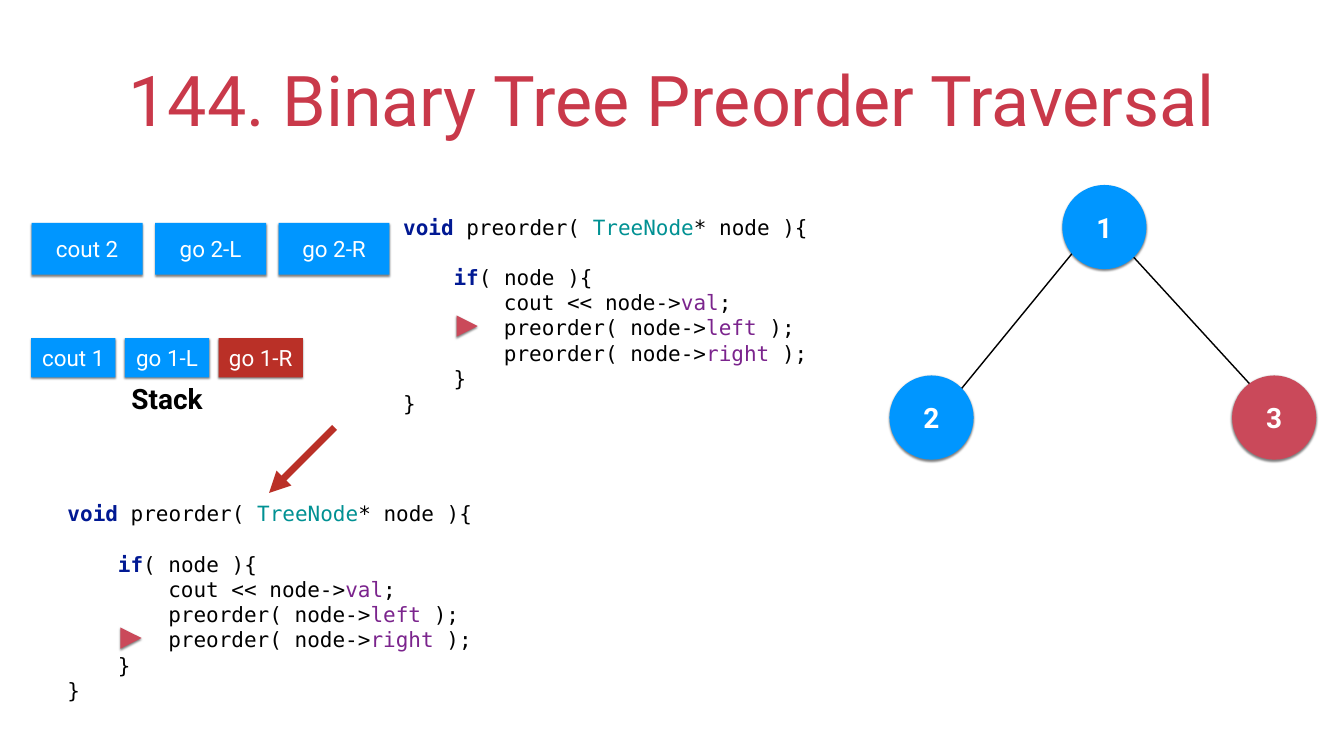
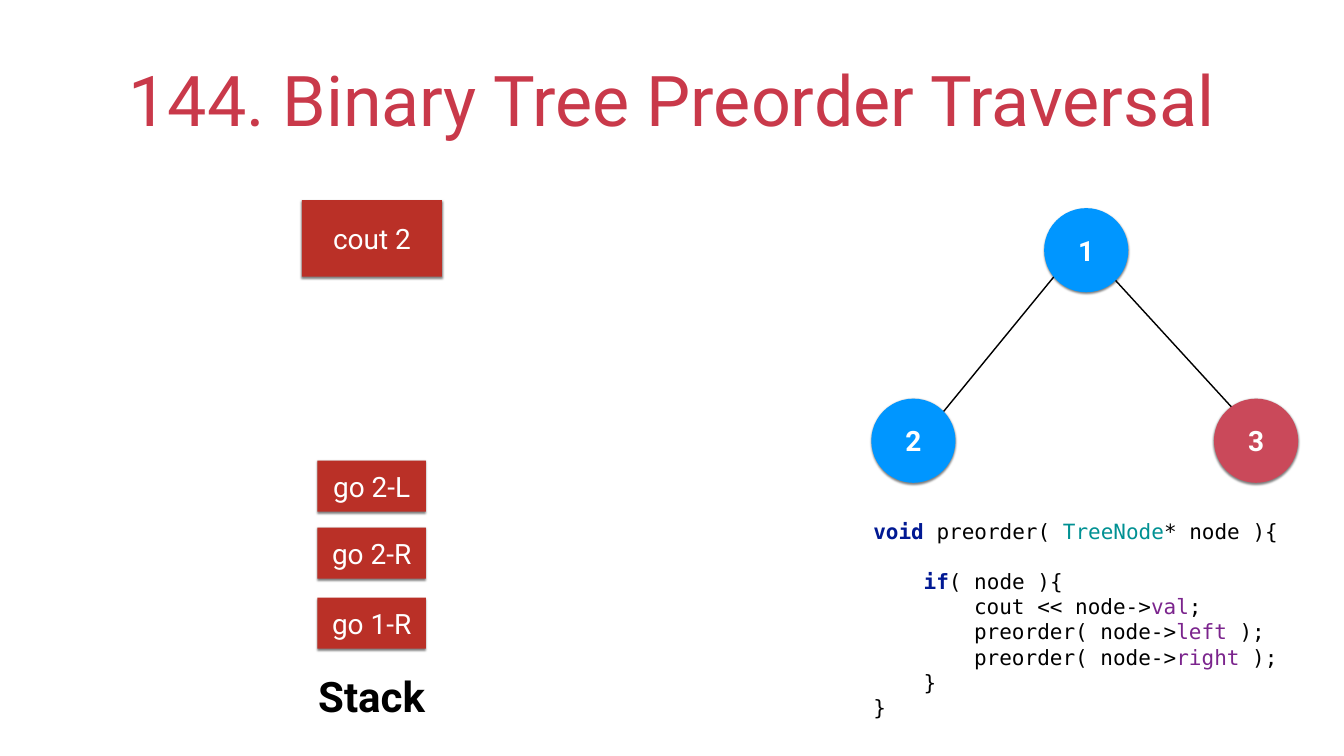
from lxml.etree import SubElement
from pptx import Presentation
from pptx.dml.color import RGBColor
from pptx.enum.shapes import MSO_CONNECTOR, MSO_SHAPE
from pptx.enum.text import MSO_ANCHOR, PP_ALIGN
from pptx.oxml.ns import qn
from pptx.util import Inches, Pt

HUES = {
    "title": "C9394A", "ink": "000000", "white": "FFFFFF",
    "blue": "0096FF", "red": "BA3027", "rose": "CA495A",
    "key": "011993", "kind": "009193", "field": "7B248D",
}
SANS, MONO = "Roboto", "DejaVu Sans Mono"
TITLE = "144. Binary Tree Preorder Traversal"
PITCH = 36  # points from one code line to the next

# Each code line: indent level, blank lines before it, runs of (words, hue)
CODE = [
    (0, 0, [("void", "key"), (" preorder( ", "ink"), ("TreeNode", "kind"),
            ("* node ){", "ink")]),
    (1, 1, [("if", "key"), ("( node ){", "ink")]),
    (2, 0, [("cout << node->", "ink"), ("val", "field"), (";", "ink")]),
    (2, 0, [("preorder( node->", "ink"), ("left", "field"), (" );", "ink")]),
    (2, 0, [("preorder( node->", "ink"), ("right", "field"), (" );", "ink")]),
    (1, 0, [("}", "ink")]),
    (0, 0, [("}", "ink")]),
]


def color(name):
    return RGBColor.from_string(HUES[name])


def write(para, words, size=40, font=SANS, hue="white", bold=False, align=None):
    run = para.add_run()
    run.text = words
    run.font.size = Pt(size)
    run.font.name = font
    run.font.bold = bold
    run.font.color.rgb = color(hue)
    if align is not None:
        para.alignment = align


class Deck:
    def __init__(self):
        self.prs = Presentation()
        self.prs.slide_width = Inches(26.67)
        self.prs.slide_height = Inches(15)
        self.slide = None

    def page(self):
        """Start a slide with the shared title."""
        self.slide = self.prs.slides.add_slide(self.prs.slide_layouts[6])
        self.label(1.94, 0.62, 22.78, 2.22, TITLE, anchor=MSO_ANCHOR.BOTTOM,
                   size=100, hue="title")

    def frame(self, shape, wrap=True, anchor=MSO_ANCHOR.MIDDLE):
        frame = shape.text_frame
        frame.word_wrap = wrap
        frame.vertical_anchor = anchor
        frame.margin_left = frame.margin_right = Inches(0.06)
        frame.margin_top = frame.margin_bottom = Inches(0.06)
        return frame

    def box(self, x, y, w, h):
        return self.slide.shapes.add_textbox(
            Inches(x), Inches(y), Inches(w), Inches(h))

    def label(self, x, y, w, h, words, wrap=True, anchor=MSO_ANCHOR.MIDDLE,
              **style):
        frame = self.frame(self.box(x, y, w, h), wrap, anchor)
        write(frame.paragraphs[0], words, align=PP_ALIGN.CENTER, **style)

    def paint(self, shape, hue):
        """Give a flat fill and a soft shadow below."""
        shape.fill.solid()
        shape.fill.fore_color.rgb = color(hue)
        shape.line.fill.background()
        shape.shadow.inherit = False
        effects = shape.element.spPr.find(qn("a:effectLst"))
        shade = SubElement(effects, qn("a:outerShdw"), blurRad=str(Pt(3)),
                           dist=str(Pt(2)), dir="5400000", rotWithShape="0")
        tone = SubElement(shade, qn("a:srgbClr"), val=HUES["ink"])
        SubElement(tone, qn("a:alpha"), val="50000")

    def block(self, x, y, w, h, words, hue, kind=MSO_SHAPE.RECTANGLE, **style):
        shape = self.slide.shapes.add_shape(
            kind, Inches(x), Inches(y), Inches(w), Inches(h))
        self.paint(shape, hue)
        write(self.frame(shape).paragraphs[0], words,
              align=PP_ALIGN.CENTER, **style)

    def line(self, start, end, hue="ink", width=2, arrow=False):
        wire = self.slide.shapes.add_connector(
            MSO_CONNECTOR.STRAIGHT, *(Inches(v) for v in (*start, *end)))
        wire.line.color.rgb = color(hue)
        wire.line.width = Pt(width)
        if arrow:
            SubElement(wire.line._get_or_add_ln(), qn("a:tailEnd"),
                       type="triangle")
        SubElement(wire.element.spPr, qn("a:effectLst"))

    def code(self, x, y):
        frame = self.frame(self.box(x, y, 8.56, 4))
        for row, (level, gap, runs) in enumerate(CODE):
            para = frame.add_paragraph() if row else frame.paragraphs[0]
            para.line_spacing = Pt(PITCH)
            para.space_before = Pt(gap * PITCH)
            props = para._p.get_or_add_pPr()
            props.set("marL", str(Inches(level)))
            props.set("indent", "0")
            for words, hue in runs:
                write(para, words, size=30, font=MONO, hue=hue,
                      bold=hue == "key")

    def mark(self, x, y, size=0.42):
        """Point at the code line now running."""
        pen = self.slide.shapes.build_freeform(
            Inches(x), Inches(y), scale=1.0)
        pen.add_line_segments([
            (Inches(x + size), Inches(y + size / 2)),
            (Inches(x), Inches(y + size))], close=True)
        self.paint(pen.convert_to_shape(), "rose")

    def tree(self, x, y):
        """Draw three nodes; x, y is the corner of the root."""
        self.line((x + 4.39, y + 4.68), (x + 0.9, y + 0.87))
        self.line((x - 2.63, y + 4.81), (x + 0.71, y + 0.73))
        for words, dx, dy, hue in (("1", 0, 0, "blue"),
                                   ("2", -3.43, 3.78, "blue"),
                                   ("3", 3.37, 3.78, "rose")):
            self.block(x + dx, y + dy, 1.67, 1.67, words, hue,
                       kind=MSO_SHAPE.OVAL, bold=True)

    def row(self, x, y, w, h, step, calls):
        for i, (words, hue) in enumerate(calls):
            self.block(x + i * step, y, w, h, words, hue, size=32)


def calls(deck):
    deck.page()
    deck.code(7.94, 4.25)
    deck.mark(9.06, 6.26)
    deck.tree(21.08, 3.67)
    deck.code(1.28, 9.94)
    deck.line((6.64, 8.48), (5.34, 9.78), hue="red", width=10, arrow=True)
    deck.mark(2.39, 12.45)
    deck.label(2.51, 7.51, 1.61, 0.78, "Stack", wrap=False, hue="ink",
               bold=True)
    deck.row(0.62, 6.71, 1.67, 0.78, 1.86,
             [("cout 1", "blue"), ("go 1-L", "blue"), ("go 1-R", "red")])
    deck.row(0.63, 4.42, 2.2, 1.03, 2.45,
             [("cout 2", "blue"), ("go 2-L", "blue"), ("go 2-R", "blue")])


def stack(deck):
    deck.page()
    deck.code(17.27, 10.28)
    deck.tree(20.72, 4.13)
    deck.label(6.2, 13.24, 2.35, 1.11, "Stack", wrap=False, size=60,
               hue="ink", bold=True)
    for words, y in (("go 1-R", 11.86), ("go 2-L", 9.14), ("go 2-R", 10.47)):
        deck.block(6.3, y, 2.15, 1.01, words, "red")
    deck.block(5.99, 3.97, 2.78, 1.52, "cout 2", "red")


def main():
    deck = Deck()
    calls(deck)
    stack(deck)
    deck.prs.save("out.pptx")


if __name__ == "__main__":
    main()
